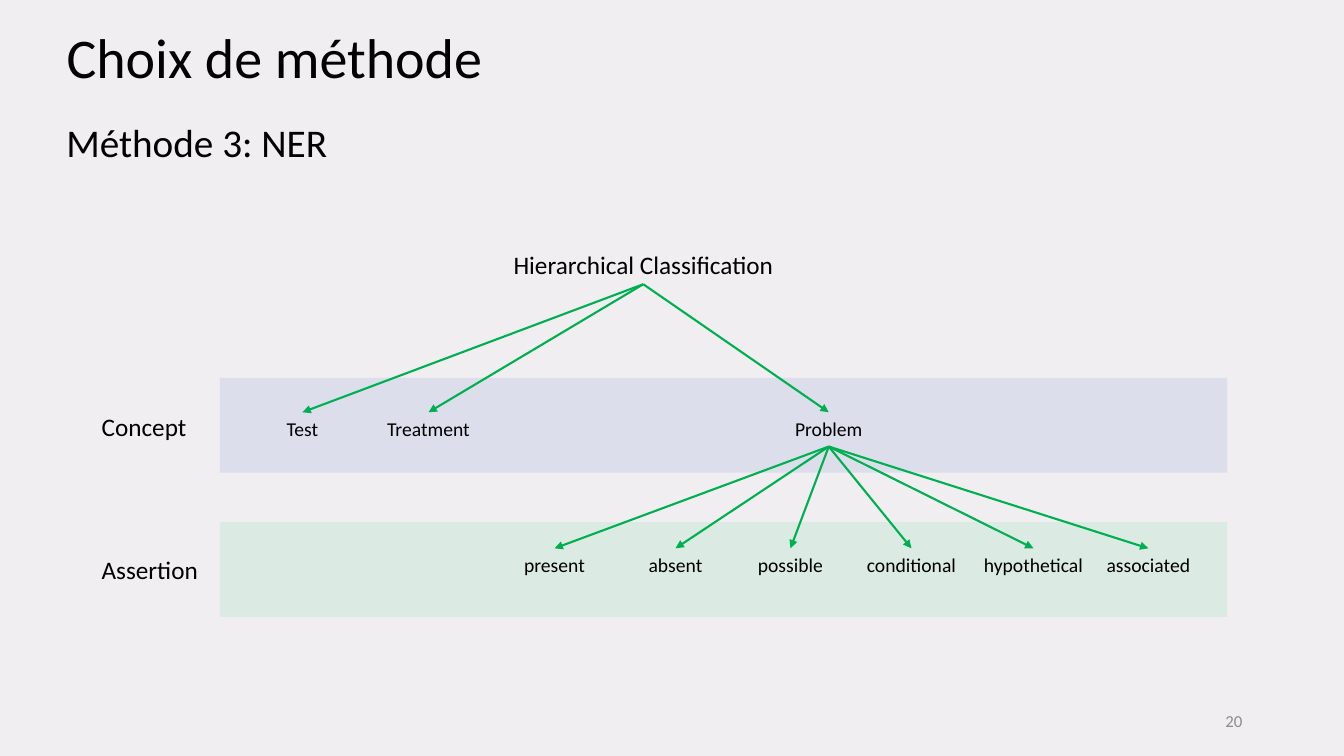
from dataclasses import dataclass

from lxml.etree import SubElement
from pptx import Presentation
from pptx.dml.color import RGBColor
from pptx.enum.shapes import MSO_CONNECTOR as Connector, MSO_SHAPE as Shape
from pptx.enum.text import MSO_ANCHOR as Anchor, MSO_AUTO_SIZE as AutoSize, PP_ALIGN as Align
from pptx.oxml.ns import qn
from pptx.util import Inches, Pt


@dataclass(frozen=True)
class Theme:
    font: str = "Calibri"
    background: str = "F0EEF0"
    ink: str = "000000"
    muted: str = "8C8C8C"
    arrow: str = "00B050"
    concept: str = "3C5ECC"
    assertion: str = "3ACE8B"
    band_opacity: int = 11
    title: int = 40
    subtitle: int = 28
    heading: int = 18
    label: int = 14
    number: int = 12


THEME = Theme()
TOP, BOTTOM = 0, 2
LABEL_WIDTH, LABEL_HEIGHT = 1.2, 0.34
CONCEPTS = {"Test": 3, "Treatment": 4.25, "Problem": 8.22}
ASSERTIONS = {"present": 5.5, "absent": 6.7, "possible": 7.84,
              "conditional": 9.04, "hypothetical": 10.25, "associated": 11.39}


def apply(target, values):
    for name, value in values.items():
        setattr(target, name, value)


def write(shape, text, size, color=THEME.ink, align=Align.LEFT, frame=None):
    """Fill a shape with one formatted paragraph."""
    apply(shape.text_frame, {"word_wrap": True, "auto_size": AutoSize.NONE,
                             "vertical_anchor": Anchor.TOP, **(frame or {})})
    para = shape.text_frame.paragraphs[0]
    para.alignment = align
    span = para.add_run()
    span.text = text
    apply(span.font, {"name": THEME.font, "size": Pt(size)})
    span.font.color.rgb = RGBColor.from_string(color)
    return para


def add_text(page, box, text, size, **style):
    shape = page.shapes.add_textbox(*map(Inches, box))
    write(shape, text, size, **style)
    return shape


def add_arrow(page, parent, child):
    """Join the bottom of the parent to the top of the child."""
    arrow = page.shapes.add_connector(Connector.STRAIGHT, 0, 0, 0, 0)
    arrow.begin_connect(parent, BOTTOM)
    arrow.end_connect(child, TOP)
    arrow.line.color.rgb = RGBColor.from_string(THEME.arrow)
    arrow.line.width = Pt(1.5)
    SubElement(arrow.line._get_or_add_ln(), qn("a:tailEnd"), type="triangle")
    SubElement(arrow._element.spPr, qn("a:effectLst"))


def add_level(page, box, name, color, name_drop):
    """Draw the tinted band of a level with its name to the left."""
    left, top, _, _ = box
    band = page.shapes.add_shape(Shape.RECTANGLE, *map(Inches, box))
    band.shadow.inherit = False
    band.line.fill.background()
    band.fill.solid()
    band.fill.fore_color.rgb = RGBColor.from_string(color)
    tint = band._element.spPr.find(qn("a:solidFill"))[0]
    SubElement(tint, qn("a:alpha"), val=str(THEME.band_opacity * 1000))
    add_text(page, (left - 1.27, top + name_drop, 1.29, 0.4), name, THEME.heading)


def add_children(page, parent, top, centers):
    """Place a row of labels and point an arrow at each; return the labels by name."""
    labels = {}
    for name, center in centers.items():
        box = (center - LABEL_WIDTH / 2, top, LABEL_WIDTH, LABEL_HEIGHT)
        labels[name] = add_text(page, box, name, THEME.label, align=Align.CENTER)
        add_arrow(page, parent, labels[name])
    return labels


def add_header(page, box):
    left, top, width, height = box
    title = page.shapes.title
    apply(title, dict(zip(("left", "top", "width", "height"), map(Inches, box))))
    para = write(title, "Choix de méthode", THEME.title,
                 frame={"vertical_anchor": Anchor.MIDDLE})
    para.line_spacing = 0.9
    add_text(page, (left, top + 0.87, 2.82, 0.57), "Méthode 3: NER", THEME.subtitle,
             frame={"word_wrap": False})


def add_hierarchy(page, box):
    left, top, width, _ = box
    band_height = 0.94
    concept_top, assertion_top = top + 1.33, top + 2.76
    add_level(page, (left, concept_top, width, band_height), "Concept", THEME.concept, 0.28)
    add_level(page, (left, assertion_top, width, band_height), "Assertion", THEME.assertion, 0.27)
    root = add_text(page, (left + 2.74, top, 2.92, 0.4), "Hierarchical Classification",
                    THEME.heading, align=Align.CENTER)
    concepts = add_children(page, root, concept_top + 0.34, CONCEPTS)
    add_children(page, concepts["Problem"], assertion_top + 0.26, ASSERTIONS)


def add_page_number(page, box):
    add_text(page, box, "20", THEME.number, color=THEME.muted, align=Align.RIGHT,
             frame={"vertical_anchor": Anchor.MIDDLE})


def main():
    deck = Presentation()
    apply(deck, {"slide_width": Inches(13.33), "slide_height": Inches(7.5)})
    page = deck.slides.add_slide(deck.slide_layouts.get_by_name("Title Only"))
    page.background.fill.solid()
    page.background.fill.fore_color.rgb = RGBColor.from_string(THEME.background)
    add_header(page, (0.56, 0.25, 8.26, 0.7))
    add_hierarchy(page, (2.18, 2.42, 9.99, 3.7))
    add_page_number(page, (9.42, 6.95, 3, 0.4))
    deck.save("out.pptx")


if __name__ == "__main__":
    main()
